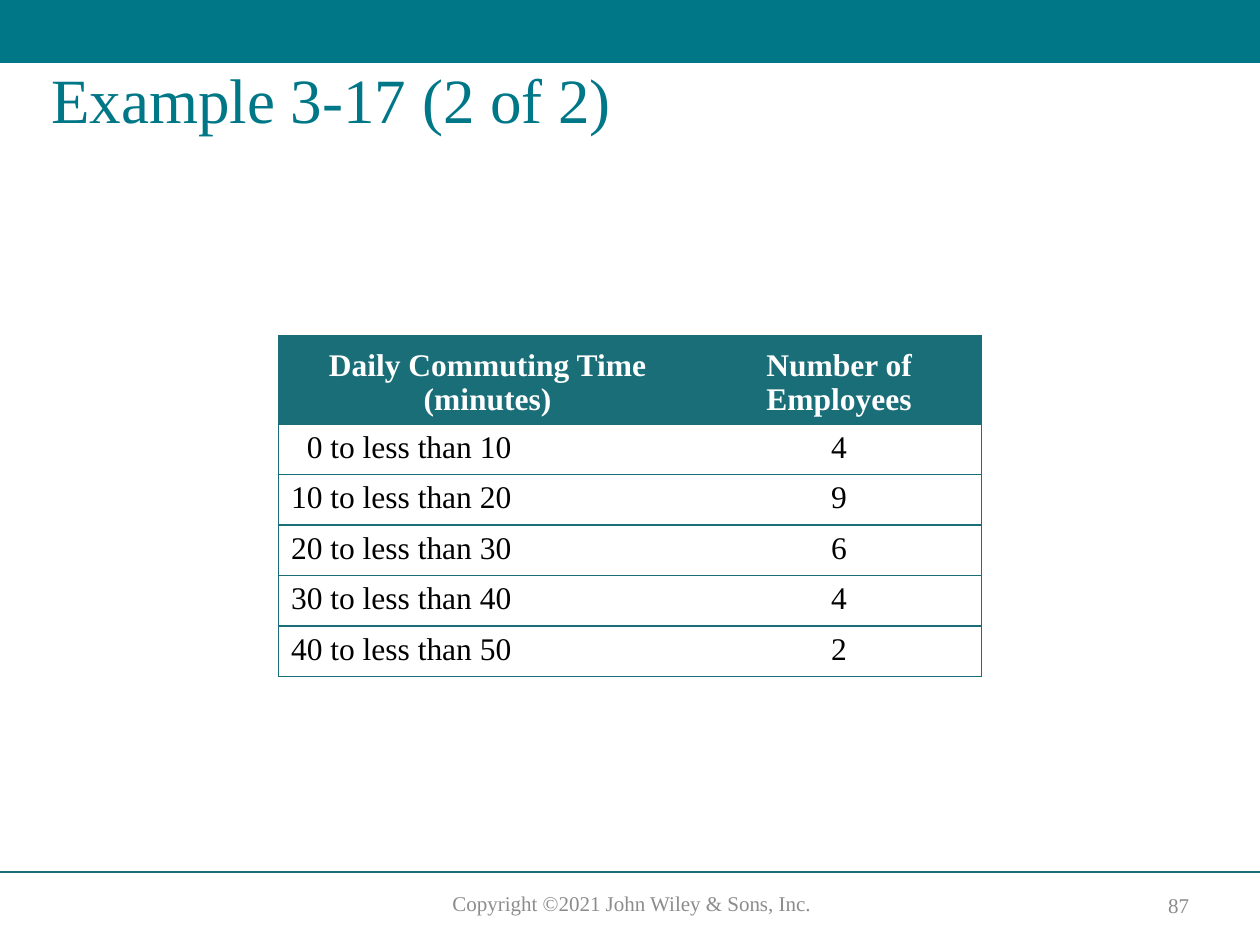
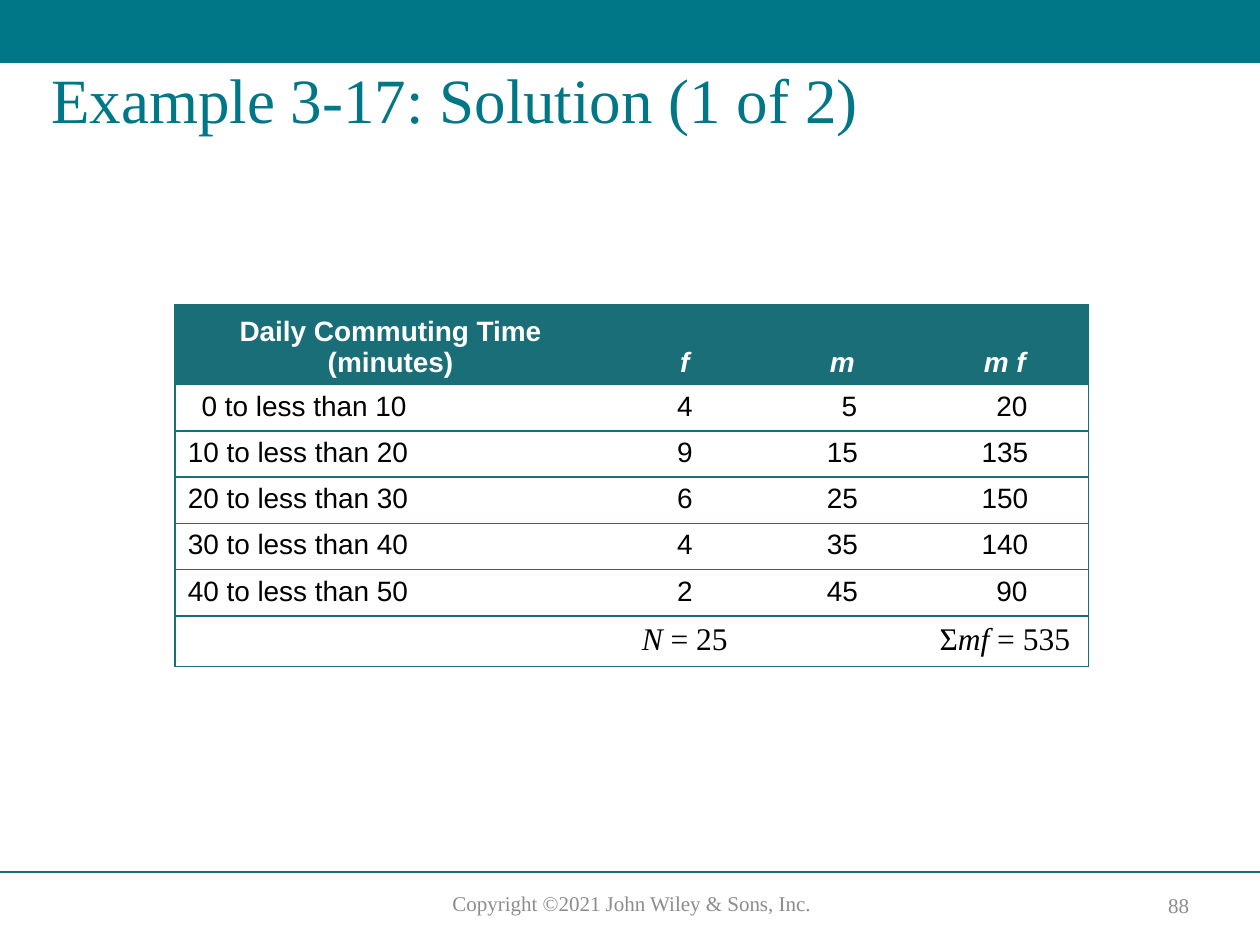
from lxml.etree import SubElement
from pptx import Presentation
from pptx.dml.color import RGBColor
from pptx.enum.shapes import MSO_CONNECTOR, MSO_SHAPE
from pptx.enum.text import MSO_ANCHOR, PP_ALIGN
from pptx.oxml import parse_xml
from pptx.oxml.ns import nsdecls, qn
from pptx.util import Inches, Pt

COLORS = {"band": "007787", "grid": "196E78", "footer": "8C8C8C",
          "white": "FFFFFF", "black": "000000"}
SERIF, SANS = "Times New Roman", "Arial"

presentation = Presentation()
presentation.slide_width = Inches(10)
presentation.slide_height = Inches(7.5)

# Grid of 100 columns by 75 rows
COLUMN = presentation.slide_width / 100
ROW = presentation.slide_height / 75
CELL_MARGIN = COLUMN

# Text boxes on every slide: grid place, colour, paragraph and font formats
TEXT_STYLES = {
    "title": {"place": (3.1, 5, 93.3, 12.5), "color": "band", "anchor": MSO_ANCHOR.TOP,
              "paragraph": {"alignment": PP_ALIGN.LEFT, "line_spacing": 0.9},
              "font": {"name": SERIF, "size": Pt(36)}},
    "copyright": {"place": (32.2, 70.2, 35.9, 3), "color": "footer", "anchor": MSO_ANCHOR.TOP,
                  "paragraph": {"alignment": PP_ALIGN.CENTER},
                  "font": {"name": SERIF, "size": Pt(12)}},
    "number": {"place": (90.5, 70.4, 6.1, 2.8), "color": "footer", "anchor": MSO_ANCHOR.MIDDLE,
               "paragraph": {"alignment": PP_ALIGN.CENTER},
               "font": {"name": SERIF, "size": Pt(12)}},
}

TIMES = ["0 to less than 10", "10 to less than 20", "20 to less than 30",
         "30 to less than 40", "40 to less than 50"]
EMPLOYEES = ["4", "9", "6", "4", "2"]
MIDPOINTS = ["5", "15", "25", "35", "45"]
PRODUCTS = ["20", "135", "150", "140", "90"]

# Totals are lists of (text, italic) runs
SLIDES = [
    {"title": "Example 3-17 (2 of 2)", "number": "87", "font": SERIF, "size": 18,
     "place": (22.1, 26.65), "widths": [33.2, 22.6], "header_height": 6.6, "row_height": 3.77,
     "headers": [("Daily Commuting Time (minutes)", False), ("Number of Employees", False)],
     "columns": [TIMES, EMPLOYEES], "totals": []},
    {"title": "Example 3-17: Solution (1 of 2)", "number": "88", "font": SANS, "size": 16,
     "place": (13.9, 24.2), "widths": [34.2, 12.5, 12.5, 13.3], "header_height": 5.9, "row_height": 3.49,
     "headers": [("Daily Commuting Time (minutes)", False), ("f", True), ("m", True), ("m f", True)],
     "columns": [TIMES, EMPLOYEES, MIDPOINTS, PRODUCTS],
     "totals": [[], [("N", True), (" = 25", False)], [],
                [("Σ", False), ("mf", True), (" = 535", False)]]},
]


def write_text(paragraph, runs, color, paragraph_format, font_format):
    for name, value in paragraph_format.items():
        setattr(paragraph, name, value)
    for text, italic in runs:
        run = paragraph.add_run()
        run.text = text
        for name, value in {**font_format, "italic": italic}.items():
            setattr(run.font, name, value)
        run.font.color.rgb = RGBColor.from_string(COLORS[color])


def set_borders(cell, visible_sides):
    properties = cell._tc.get_or_add_tcPr()
    for position, side in enumerate("LRTB"):
        fill = (f'<a:solidFill><a:srgbClr val="{COLORS["grid"]}"/></a:solidFill>'
                if side in visible_sides else "<a:noFill/>")
        properties.insert(position, parse_xml(
            f'<a:ln{side} {nsdecls("a")} w="{Pt(1)}">{fill}</a:ln{side}>'))


for content in SLIDES:
    slide = presentation.slides.add_slide(presentation.slide_layouts[6])

    # Top band
    band = slide.shapes.add_shape(MSO_SHAPE.RECTANGLE, 0, 0, presentation.slide_width, int(5 * ROW))
    band.shadow.inherit = False
    band.fill.solid()
    band.fill.fore_color.rgb = RGBColor.from_string(COLORS["band"])
    band.line.fill.background()

    # Footer rule
    rule_top = int(69.2 * ROW)
    rule = slide.shapes.add_connector(MSO_CONNECTOR.STRAIGHT, 0, rule_top,
                                      presentation.slide_width, rule_top)
    rule.line.color.rgb = RGBColor.from_string(COLORS["grid"])
    rule.line.width = Pt(1)
    SubElement(rule._element.spPr, qn("a:effectLst"))

    # Title, copyright line and slide number
    texts = {"title": content["title"], "copyright": "Copyright ©2021 John Wiley & Sons, Inc.",
             "number": content["number"]}
    for role, text in texts.items():
        style = TEXT_STYLES[role]
        left, top, width, height = style["place"]
        box = slide.shapes.add_textbox(int(left * COLUMN), int(top * ROW),
                                       int(width * COLUMN), int(height * ROW))
        box.text_frame.word_wrap = True
        box.text_frame.vertical_anchor = style["anchor"]
        write_text(box.text_frame.paragraphs[0], [(text, False)], style["color"],
                   style["paragraph"], style["font"])

    # Table frame
    body_rows = list(zip(*content["columns"]))
    heights = [content["header_height"]] + [content["row_height"]] * len(body_rows)
    if content["totals"]:
        heights.append(3.8)
    left, top = content["place"]
    widths = content["widths"]
    table = slide.shapes.add_table(len(heights), len(widths), int(left * COLUMN), int(top * ROW),
                                   int(sum(widths) * COLUMN), int(sum(heights) * ROW)).table
    table.first_row = table.horz_banding = False
    for table_column, width in zip(table.columns, widths):
        table_column.width = int(width * COLUMN)
    for table_row, height in zip(table.rows, heights):
        table_row.height = int(height * ROW)

    # Table cells; shorter entries are indented by the digits they lack
    for column_index, entries in enumerate(content["columns"]):
        longest = max(len(entry) for entry in entries)
        sides = "TB" + "L" * (column_index == 0) + "R" * (column_index == len(widths) - 1)
        for row_index in range(len(heights)):
            cell = table.cell(row_index, column_index)
            is_header = row_index == 0
            font = {"name": content["font"], "size": Pt(content["size"]), "bold": is_header}
            alignment = PP_ALIGN.CENTER if is_header or column_index else PP_ALIGN.LEFT
            if is_header:
                runs = [content["headers"][column_index]]
                cell.vertical_anchor = MSO_ANCHOR.BOTTOM
            elif row_index <= len(entries):
                entry = entries[row_index - 1]
                runs = [(entry, False)]
                missing_digits = longest - len(entry)
                cell.margin_left = int(CELL_MARGIN + missing_digits * Pt(content["size"] / 2))
            else:
                runs = content["totals"][column_index]
                font.update(name=SERIF, size=Pt(18))
            cell.fill.solid()
            cell.fill.fore_color.rgb = RGBColor.from_string(COLORS["grid" if is_header else "white"])
            set_borders(cell, sides)
            write_text(cell.text_frame.paragraphs[0], runs, "white" if is_header else "black",
                       {"alignment": alignment, "space_after": Pt(0 if is_header else 3)}, font)

presentation.save("out.pptx")
